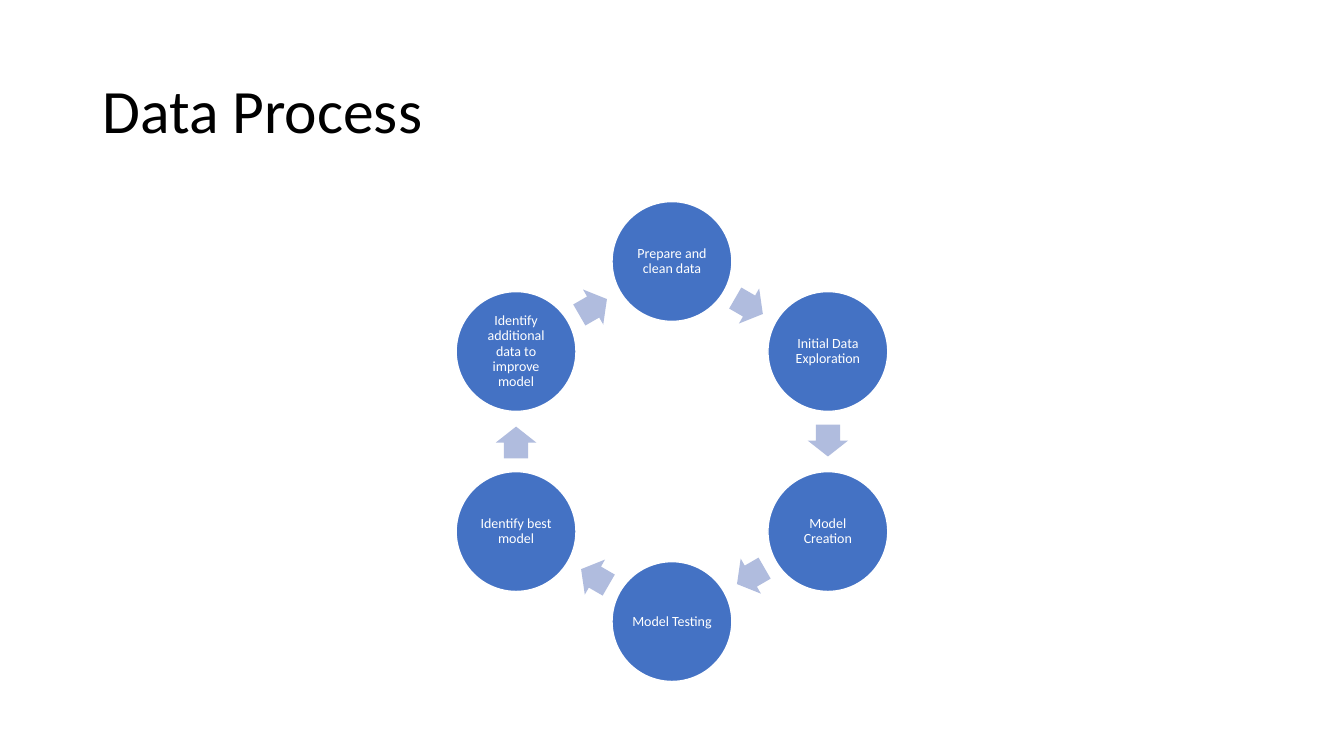
"""Build the Data Process slide: six steps in a ring joined by block arrows."""
from dataclasses import dataclass
from math import cos, radians, sin

from pptx import Presentation
from pptx.dml.color import RGBColor
from pptx.enum.shapes import MSO_SHAPE as Preset
from pptx.enum.text import MSO_ANCHOR as Anchor, MSO_AUTO_SIZE as AutoSize, PP_ALIGN as Align
from pptx.shapes.autoshape import Shape
from pptx.slide import Slide
from pptx.util import Pt

FONT = "Calibri"
BLACK, WHITE, BLUE, PALE_BLUE = "000000", "FFFFFF", "4472C4", "B0BCDE"
CENTER_X, CENTER_Y, RING_RADIUS = 480, 315.4, 128.6
CIRCLE_SIZE = 85.6
ARROW_LENGTH, ARROW_WIDTH, ARROW_SETBACK = 22.8, 28.9, 0.7
STEP_NAMES = (
    "Prepare and clean data",
    "Initial Data Exploration",
    "Model Creation",
    "Model Testing",
    "Identify best model",
    "Identify additional data to improve model",
)
STEP_ANGLE = 360 / len(STEP_NAMES)


@dataclass(frozen=True)
class Step:
    name: str
    angle: float


def color(value: str) -> RGBColor:
    return RGBColor.from_string(value)


def write(shape: Shape, text: str, size: float, ink: str, alignment: Align) -> None:
    frame = shape.text_frame
    frame.text = text
    frame.word_wrap = True
    frame.auto_size = AutoSize.NONE
    frame.vertical_anchor = Anchor.MIDDLE
    paragraph = frame.paragraphs[0]
    paragraph.alignment = alignment
    paragraph.line_spacing = 0.9
    paragraph.font.name = FONT
    paragraph.font.size = Pt(size)
    paragraph.font.color.rgb = color(ink)


def add_centered(slide: Slide, preset: Preset, x: float, y: float,
                 width: float, height: float, fill: str) -> Shape:
    shape = slide.shapes.add_shape(
        preset, Pt(x - width / 2), Pt(y - height / 2), Pt(width), Pt(height))
    shape.shadow.inherit = False
    shape.fill.solid()
    shape.fill.fore_color.rgb = color(fill)
    return shape


def draw_step(slide: Slide, step: Step) -> None:
    angle = radians(step.angle)
    circle = add_centered(
        slide, Preset.OVAL, CENTER_X + RING_RADIUS * sin(angle),
        CENTER_Y - RING_RADIUS * cos(angle), CIRCLE_SIZE, CIRCLE_SIZE, BLUE)
    circle.line.color.rgb = color(WHITE)
    circle.line.width = Pt(1)
    frame = circle.text_frame
    frame.margin_left = frame.margin_right = Pt(1)
    frame.margin_top = frame.margin_bottom = Pt(1)
    write(circle, step.name, 10, WHITE, Align.CENTER)


def draw_arrow(slide: Slide, step: Step) -> None:
    heading = step.angle + STEP_ANGLE / 2
    angle = radians(heading)
    distance = RING_RADIUS * cos(radians(STEP_ANGLE / 2))
    arrow = add_centered(
        slide, Preset.RIGHT_ARROW,
        CENTER_X + distance * sin(angle) - ARROW_SETBACK * cos(angle),
        CENTER_Y - distance * cos(angle) - ARROW_SETBACK * sin(angle),
        ARROW_LENGTH, ARROW_WIDTH, PALE_BLUE)
    arrow.line.fill.background()
    arrow.adjustments[0] = 0.6
    arrow.adjustments[1] = 0.5
    arrow.rotation = heading


def main() -> None:
    presentation = Presentation()
    presentation.slide_width, presentation.slide_height = Pt(960), Pt(540)
    slide = presentation.slides.add_slide(presentation.slide_layouts.get_by_name("Title Only"))
    title = slide.shapes.title
    title.left, title.top, title.width, title.height = Pt(66), Pt(28.8), Pt(828), Pt(104.4)
    write(title, "Data Process", 44, BLACK, Align.LEFT)
    for index, name in enumerate(STEP_NAMES):
        step = Step(name, index * STEP_ANGLE)
        draw_step(slide, step)
        draw_arrow(slide, step)
    presentation.save("out.pptx")


main()
